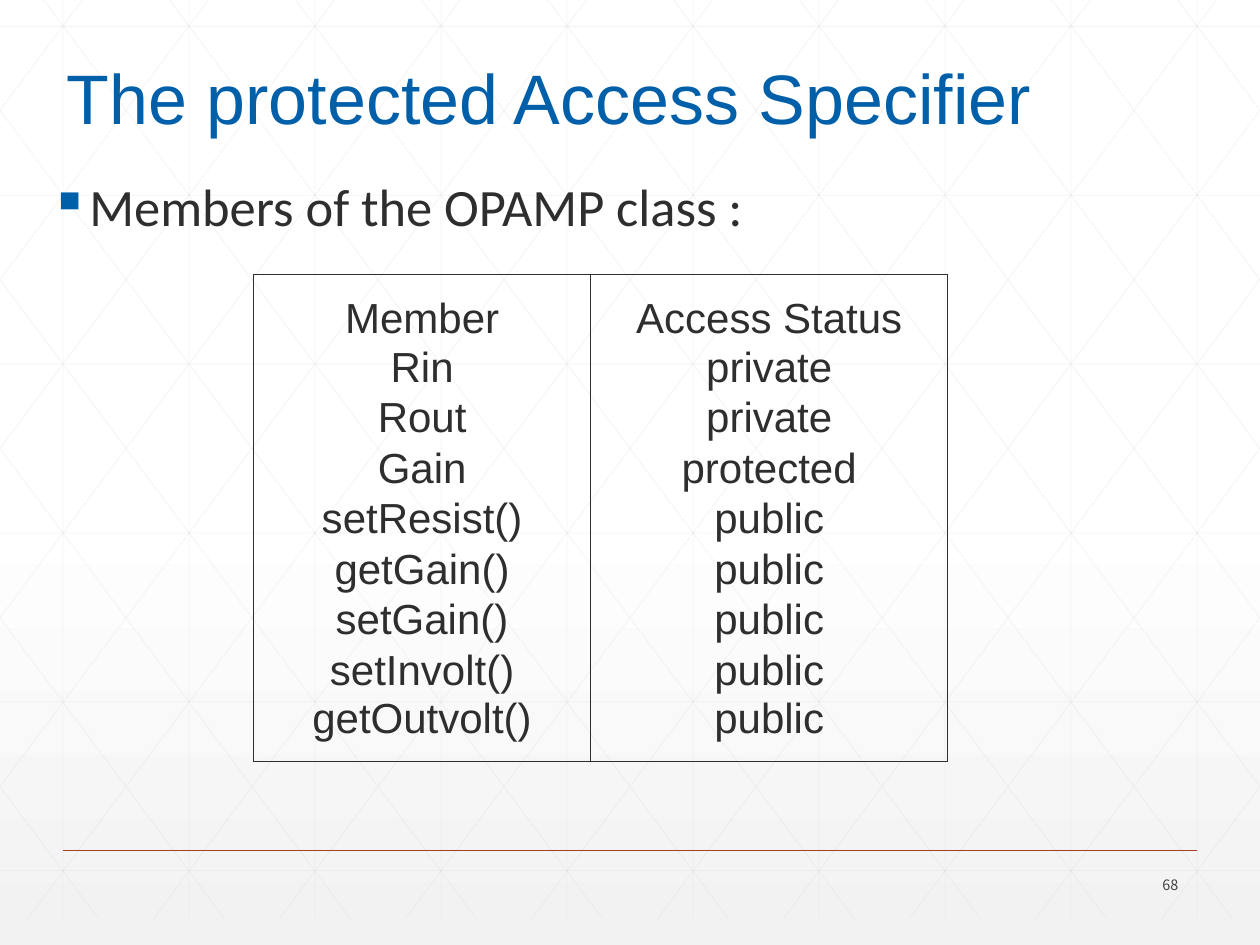
from dataclasses import dataclass

from lxml.etree import SubElement
from pptx import Presentation
from pptx.dml.color import RGBColor
from pptx.enum.shapes import MSO_CONNECTOR
from pptx.enum.text import MSO_ANCHOR as Anchor, MSO_AUTO_SIZE as AutoSize, PP_ALIGN as Align
from pptx.oxml.ns import qn
from pptx.util import Inches, Pt

COLUMNS, ROWS = 100, 75


@dataclass(frozen=True)
class Theme:
    paper: str = "FFFFFF"
    shade: str = "F2F2F2"
    lattice: str = "D9D9D9"
    accent: str = "005FA9"
    ink: str = "2D2E2D"
    rule: str = "A43F27"
    muted: str = "424342"
    heading_font: str = "Arial"
    body_font: str = "Calibri"
    number_font: str = "Noto Sans CJK TC"
    title_size: float = 40
    body_size: float = 30
    table_size: float = 24
    number_size: float = 8.2


class Deck:
    def __init__(self, theme):
        self.theme = theme
        self.show = Presentation()
        self.show.slide_width, self.show.slide_height = Inches(10), Inches(7.5)
        self.slide = self.show.slides.add_slide(self.show.slide_layouts[5])

    def x(self, columns):
        return round(self.show.slide_width * columns / COLUMNS)

    def y(self, rows):
        return round(self.show.slide_height * rows / ROWS)

    def area(self, left, top, width, height):
        return self.x(left), self.y(top), self.x(width), self.y(height)

    def background(self):
        fill = self.slide.background.fill
        fill.gradient()
        fill.gradient_angle = 270
        stops = ((0.53, self.theme.paper), (1, self.theme.shade))
        for stop, (position, color) in zip(fill.gradient_stops, stops):
            stop.position = position
            stop.color.rgb = RGBColor.from_string(color)

    def line(self, start, end, color, width, opacity=100, parent=None):
        shapes = (parent or self.slide).shapes
        line = shapes.add_connector(
            MSO_CONNECTOR.STRAIGHT,
            self.x(start[0]), self.y(start[1]), self.x(end[0]), self.y(end[1]),
        )
        line.line.width = Pt(width)
        line.line.color.rgb = RGBColor.from_string(color)
        properties = line.element.spPr
        if opacity < 100:
            tint = properties.find(".//" + qn("a:srgbClr"))
            SubElement(tint, qn("a:alpha"), val=str(opacity * 1000))
        SubElement(properties, qn("a:effectLst"))

    def lattice(self):
        top, bottom, lean, step = -2.1, 72.9, 55.9, 10
        slope = (bottom - top) / lean
        ends = [((x, top), (x, bottom)) for x in range(5, COLUMNS, step)]
        ends += [((0, 2.1 + 13.4 * i), (COLUMNS, 2.1 + 13.4 * i)) for i in range(6)]
        for i in range(-5, 10):
            origin = 1.9 + step * i
            left, right = max(origin, 0), min(origin + lean, COLUMNS)
            high, low = (top + (x - origin) * slope for x in (left, right))
            ends.append(((left, high), (right, low)))
            ends.append(((COLUMNS - left, high), (COLUMNS - right, low)))
        group = self.slide.shapes.add_group_shape()
        for start, end in ends:
            self.line(start, end, self.theme.lattice, 0.5, 25, group)

    def add_text(self, paragraph, text, font, size, color, align=Align.LEFT):
        paragraph.alignment = align
        run = paragraph.add_run()
        run.text = text
        run.font.name, run.font.size = font, Pt(size)
        run.font.color.rgb = RGBColor.from_string(color)

    def title(self, text, area):
        title = self.slide.shapes.title
        title.element.getparent().append(title.element)
        title.left, title.top, title.width, title.height = self.area(*area)
        frame = title.text_frame
        frame.word_wrap, frame.auto_size = True, AutoSize.NONE
        frame.vertical_anchor = Anchor.TOP
        theme = self.theme
        self.add_text(frame.paragraphs[0], text, theme.heading_font, theme.title_size, theme.accent)

    def text_box(self, area, anchor):
        frame = self.slide.shapes.add_textbox(*self.area(*area)).text_frame
        frame.word_wrap, frame.vertical_anchor = True, anchor
        return frame.paragraphs[0]

    def bullet(self, text, area):
        theme = self.theme
        point = self.text_box(area, Anchor.TOP)
        point.line_spacing = 0.9
        properties = point._p.get_or_add_pPr()
        properties.set("marL", str(Inches(0.19)))
        properties.set("indent", str(-Inches(0.19)))
        bullet_color = SubElement(properties, qn("a:buClr"))
        SubElement(bullet_color, qn("a:srgbClr"), val=theme.accent)
        SubElement(properties, qn("a:buChar"), char="▪")
        self.add_text(point, text, theme.body_font, theme.body_size, theme.ink)

    def page_number(self, text, area):
        theme = self.theme
        number = self.text_box(area, Anchor.MIDDLE)
        self.add_text(number, text, theme.number_font, theme.number_size, theme.muted, Align.RIGHT)

    def borders(self, cell, visible):
        properties = cell._tc.get_or_add_tcPr()
        for side in "LRTB":
            edge = SubElement(properties, qn(f"a:ln{side}"), w=str(Pt(0.75)))
            if side in visible:
                fill = SubElement(edge, qn("a:solidFill"))
                SubElement(fill, qn("a:srgbClr"), val=self.theme.ink)
            else:
                SubElement(edge, qn("a:noFill"))

    def table(self, records, left, top, widths, heights):
        theme = self.theme
        last = len(records) - 1
        area = self.area(left, top, sum(widths), sum(heights))
        table = self.slide.shapes.add_table(len(records), len(widths), *area).table
        table.first_row = table.horz_banding = False
        for column, width in zip(table.columns, widths):
            column.width = self.x(width)
        for i, (record, height) in enumerate(zip(records, heights)):
            table.rows[i].height = self.y(height)
            for j, value in enumerate(record):
                cell = table.cell(i, j)
                cell.margin_left = cell.margin_right = 0
                cell.margin_top = cell.margin_bottom = 0
                cell.vertical_anchor = {0: Anchor.BOTTOM, last: Anchor.TOP}.get(i, Anchor.MIDDLE)
                self.borders(cell, "LR" + "T" * (i == 0) + "B" * (i == last))
                cell.fill.background()
                self.add_text(cell.text_frame.paragraphs[0], value, theme.heading_font,
                              theme.table_size, theme.ink, Align.CENTER)


def main():
    members = (
        ("Member", "Access Status"),
        ("Rin", "private"),
        ("Rout", "private"),
        ("Gain", "protected"),
        ("setResist()", "public"),
        ("getGain()", "public"),
        ("setGain()", "public"),
        ("setInvolt()", "public"),
        ("getOutvolt()", "public"),
    )
    theme = Theme()
    deck = Deck(theme)
    deck.background()
    deck.lattice()
    deck.line((5, 67.5), (95, 67.5), theme.rule, 1)
    deck.page_number("68", (87, 69, 7.5, 2.4))
    deck.title("The protected Access Specifier", (4.3, 3.8, 79.4, 7.7))
    deck.bullet("Members of the OPAMP class :", (3, 13.9, 95.1, 49.6))
    deck.table(members, 20.1, 21.8, (26.8, 28.3), (5.4, *[4] * 7, 5.2))
    deck.show.save("out.pptx")


if __name__ == "__main__":
    main()
